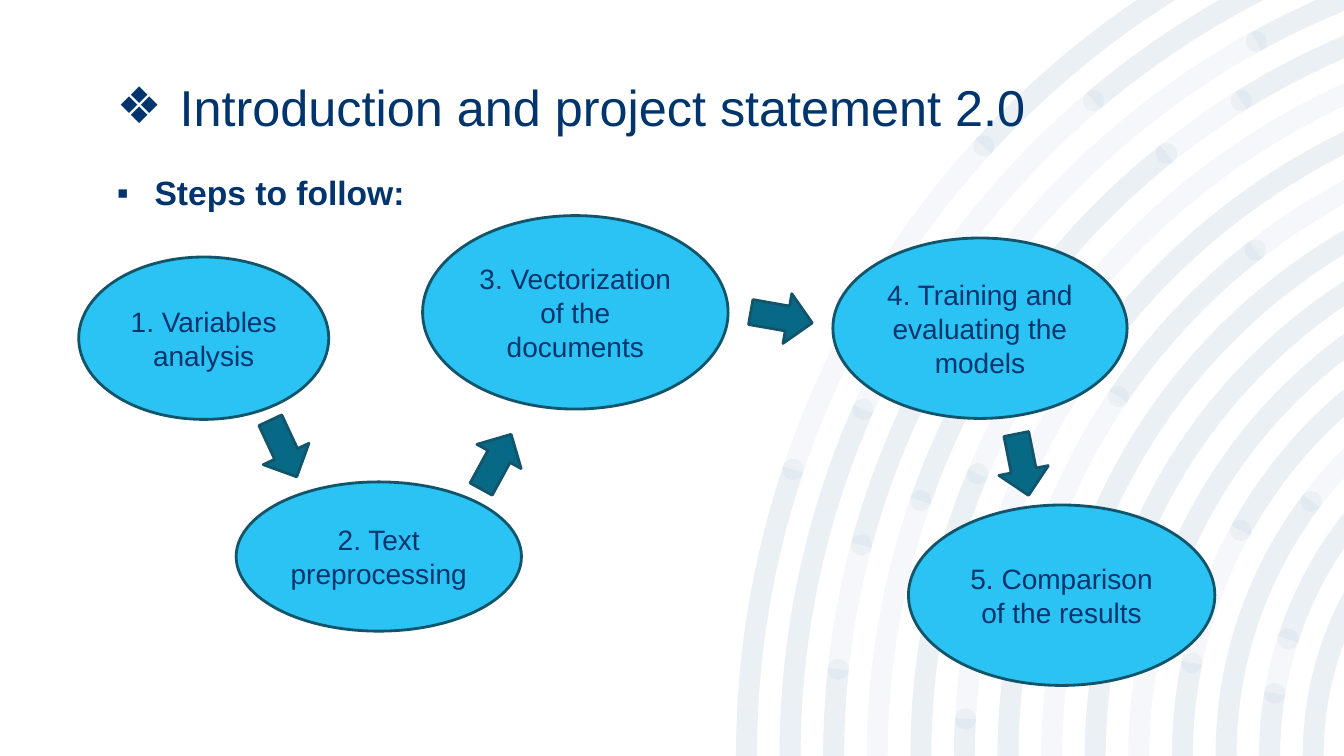
import math
from lxml import etree
from pptx import Presentation
from pptx import util as u
from pptx.dml import color
from pptx.enum import shapes, text
from pptx.oxml import ns

COLORS = {"navy": "00346D", "sky": "2AC3F3", "teal": "086987", "edge": "12556B", "ring": "004591"}
FONT = "Arial"
EXIT = None

RING_COUNT, RING_STEP, RING_WIDTH = 14, 31.14, 15
OUTER_RADIUS, CENTER_BEYOND_RIGHT = 652.3, 218
DOT_RADIUS = 7.5
ACCENTS = [
    [(0, 18.5), (42.5, EXIT)],
    [(0, 23.8), (49.7, EXIT)],
    [(0, 6.1), (15, 34.4), (61.2, EXIT)],
    [(19.3, 51.3), (58.1, EXIT)],
    [(0, 22.8)],
    [(0, 3.1), (33.5, EXIT)],
    [(0, 14.4), (34.1, 52.1)],
    [(8.9, EXIT)],
    [(0, EXIT)],
    [(20.1, EXIT)],
    [(0, 11.5), (28.9, EXIT)],
    [(0, 37)],
    [(0, 9.5), (17.9, EXIT)],
    [(0, EXIT)],
]

STEPS = [
    ("1. Variables analysis", 0, 29.6, 178.6, 116),
    ("2. Text preprocessing", 112.5, 190.2, 203.8, 106.6),
    ("3. Vectorization of the documents", 245.7, 0, 218.2, 138.2),
    ("4. Training and evaluating the models", 538.7, 16, 210.2, 128.9),
    ("5. Comparison of the results", 592.7, 206.7, 218.9, 128.9),
]
ARROW_SIZE = (44.6, 36)
ARROWS = [(124, 148.4, 65), (275.9, 157.8, 298.7), (479.7, 54.8, 10), (651.8, 159.9, 78.7)]


def rgb(name):
    return color.RGBColor.from_string(COLORS[name])


def paint(shape, fill, line=None):
    shape.shadow.inherit = False
    shape.fill.solid()
    shape.fill.fore_color.rgb = rgb(fill)
    if line:
        shape.line.color.rgb = rgb(line)
        shape.line.width = u.Pt(2)
    else:
        shape.line.fill.background()


def write(paragraph, wording, size, bold=False):
    run = paragraph.add_run()
    run.text = wording
    run.font.name = FONT
    run.font.size = u.Pt(size)
    run.font.bold = bold
    run.font.color.rgb = rgb("navy")


def on_circle(center, radius, angle):
    turn = math.radians(angle)
    return center[0] - radius * math.cos(turn), center[1] - radius * math.sin(turn)


def exit_angles(radius, height):
    top = math.degrees(math.asin(min(1, height / radius)))
    right = math.degrees(math.acos(CENTER_BEYOND_RIGHT / radius))
    return top, right


def band(box, center, radius, start, end):
    left, top, width, height = box
    inner_radius = radius - RING_WIDTH
    outer_exits = exit_angles(radius, height)
    inner_exits = exit_angles(inner_radius, height)
    outer_end = min(outer_exits) if end is EXIT else end
    inner_end = min(inner_exits) if end is EXIT else end
    turns_corner = outer_exits[0] < outer_exits[1] and inner_exits[0] > inner_exits[1]
    corner = [("lnTo", (left + width, top))] if end is EXIT and turns_corner else []
    return [
        ("moveTo", on_circle(center, radius, start)),
        ("arcTo", (radius, start, outer_end - start)),
        *corner,
        ("lnTo", on_circle(center, inner_radius, inner_end)),
        ("arcTo", (inner_radius, inner_end, start - inner_end)),
    ]


def dot(center):
    return [("moveTo", on_circle(center, DOT_RADIUS, 0)), ("arcTo", (DOT_RADIUS, 0, 360))]


def draw_outlines(slide, box, outlines):
    left, top, width, height = box
    builder = slide.shapes.build_freeform(u.Pt(left), u.Pt(top))
    builder.add_line_segments([(u.Pt(left + width), u.Pt(top)), (u.Pt(left + width), u.Pt(top + height))])
    layer = builder.convert_to_shape()
    paint(layer, "ring")
    tint = layer.fill._xPr.find(".//" + ns.qn("a:srgbClr"))
    etree.SubElement(tint, ns.qn("a:alpha"), val="4000")
    route = layer._element.find(".//" + ns.qn("a:path"))
    for piece in list(route):
        route.remove(piece)
    for outline in outlines:
        for verb, values in outline:
            move = etree.SubElement(route, ns.qn("a:" + verb))
            if verb == "arcTo":
                radius, start, sweep = values
                move.set("wR", str(u.Pt(radius)))
                move.set("hR", str(u.Pt(radius)))
                move.set("stAng", str(round((180 + start) * 60000)))
                move.set("swAng", str(round(sweep * 60000)))
            else:
                x, y = values
                etree.SubElement(move, ns.qn("a:pt"), x=str(u.Pt(x - left)), y=str(u.Pt(y - top)))
        etree.SubElement(route, ns.qn("a:close"))


def ring_backdrop(slide, box):
    left, top, width, height = box
    center = (left + width + CENTER_BEYOND_RIGHT, top + height)
    radii = [OUTER_RADIUS - i * RING_STEP for i in range(RING_COUNT)]
    accents, spots = [], []
    for radius, spans in zip(radii, ACCENTS):
        for span in spans:
            accents.append(band(box, center, radius, *span))
            spots += [on_circle(center, radius - RING_WIDTH / 2, angle) for angle in span if angle]
    columns, rows = zip(*spots)
    dot_box = (min(columns) - DOT_RADIUS, min(rows) - DOT_RADIUS,
               max(columns) - min(columns) + 2 * DOT_RADIUS, max(rows) - min(rows) + 2 * DOT_RADIUS)
    draw_outlines(slide, box, [band(box, center, radius, 0, EXIT) for radius in radii])
    draw_outlines(slide, box, accents)
    draw_outlines(slide, dot_box, [dot(spot) for spot in spots])


def bullet_line(slide, box, wording, size, bullet, indent, inset, bold=False, spacing=None):
    holder = slide.shapes.add_textbox(*map(u.Pt, box))
    frame = holder.text_frame
    frame.word_wrap = True
    frame.margin_left = frame.margin_right = u.Pt(7.2)
    frame.margin_top = frame.margin_bottom = u.Pt(inset)
    paragraph = frame.paragraphs[0]
    if spacing:
        paragraph.line_spacing = spacing
    props = paragraph._p.get_or_add_pPr()
    props.set("marL", str(u.Pt(indent)))
    props.set("indent", str(-u.Pt(indent)))
    tint = etree.SubElement(props, ns.qn("a:buClr"))
    etree.SubElement(tint, ns.qn("a:srgbClr"), val=COLORS["navy"])
    etree.SubElement(props, ns.qn("a:buFont"), typeface=FONT)
    etree.SubElement(props, ns.qn("a:buChar"), char=bullet)
    write(paragraph, wording, size, bold)


def heading(slide, box):
    left, top, width, height = box
    bullet_line(slide, (left, top + 51, 804, height - 51), "Steps to follow:", 24, "▪", 27, 7.2,
                bold=True, spacing=1.5)
    bullet_line(slide, (left, top, width, 51), "Introduction and project statement 2.0", 36, "❖", 45, 3.6)


def step_flow(slide, box):
    left, top = box[:2]
    for wording, x, y, width, height in STEPS:
        step = slide.shapes.add_shape(shapes.MSO_SHAPE.OVAL, *map(u.Pt, (left + x, top + y, width, height)))
        paint(step, "sky", "edge")
        frame = step.text_frame
        frame.word_wrap = True
        frame.vertical_anchor = text.MSO_ANCHOR.MIDDLE
        frame.paragraphs[0].alignment = text.PP_ALIGN.CENTER
        write(frame.paragraphs[0], wording, 20)
    for x, y, turn in ARROWS:
        arrow = slide.shapes.add_shape(shapes.MSO_SHAPE.RIGHT_ARROW,
                                       *map(u.Pt, (left + x, top + y, *ARROW_SIZE)))
        arrow.rotation = turn
        paint(arrow, "teal", "edge")


def main():
    deck = Presentation()
    deck.slide_width, deck.slide_height = u.Pt(960), u.Pt(540)
    slide = deck.slides.add_slide(deck.slide_layouts[6])
    ring_backdrop(slide, (525.7, 0, 434.3, 540))
    heading(slide, (76.3, 50.5, 714, 417))
    step_flow(slide, (56.2, 154, 812, 336))
    deck.save("out.pptx")


if __name__ == "__main__":
    main()
